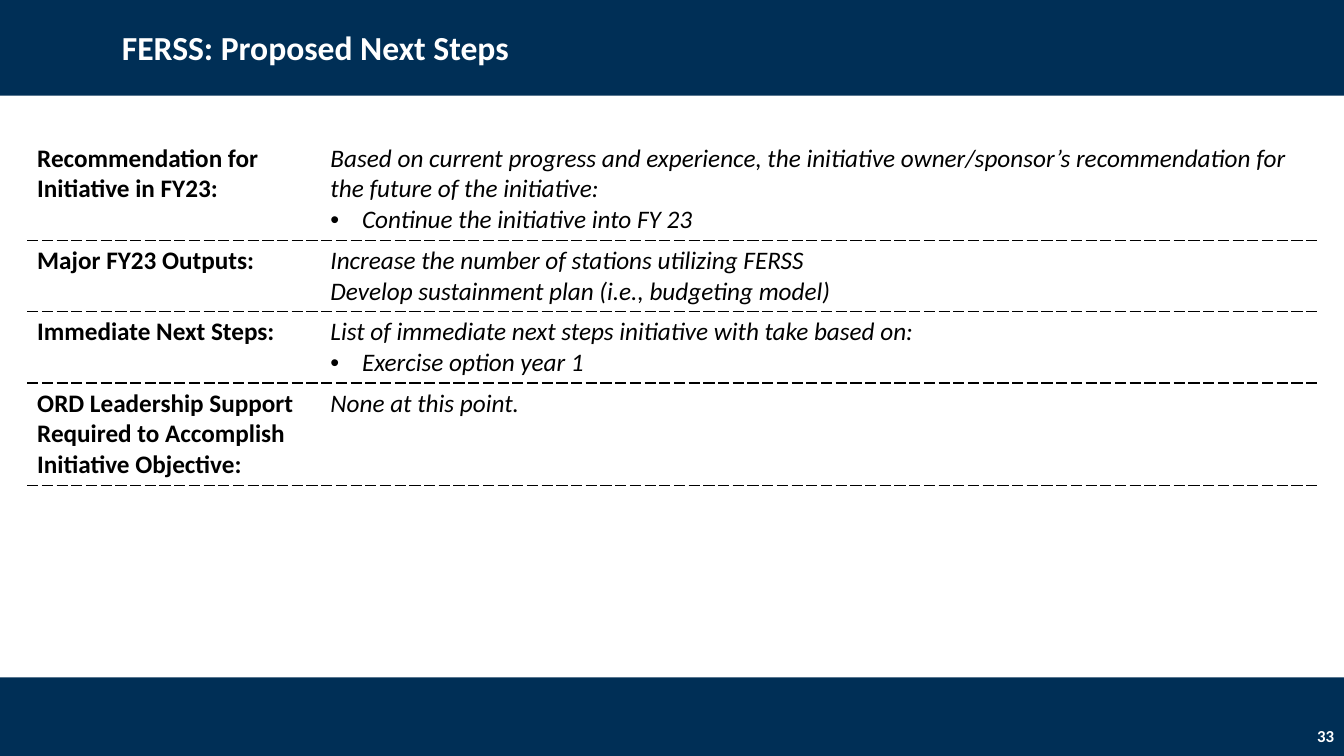
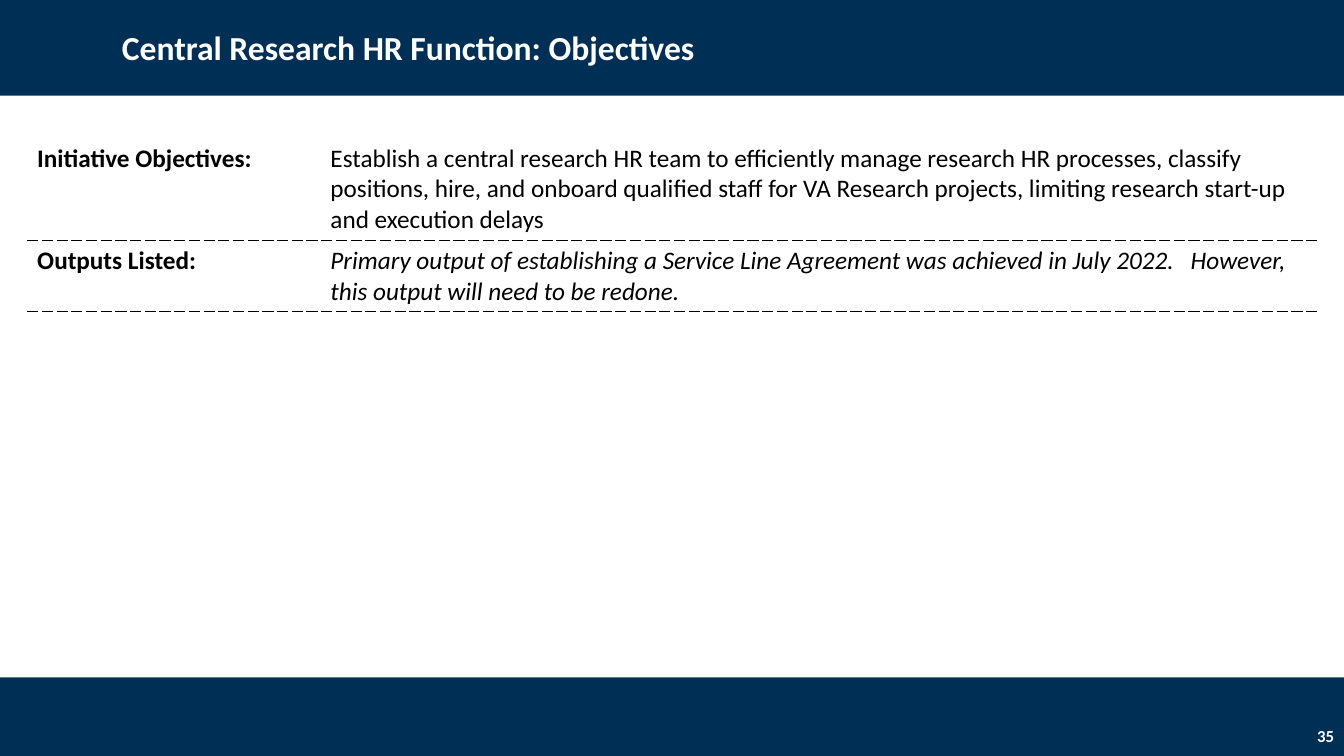
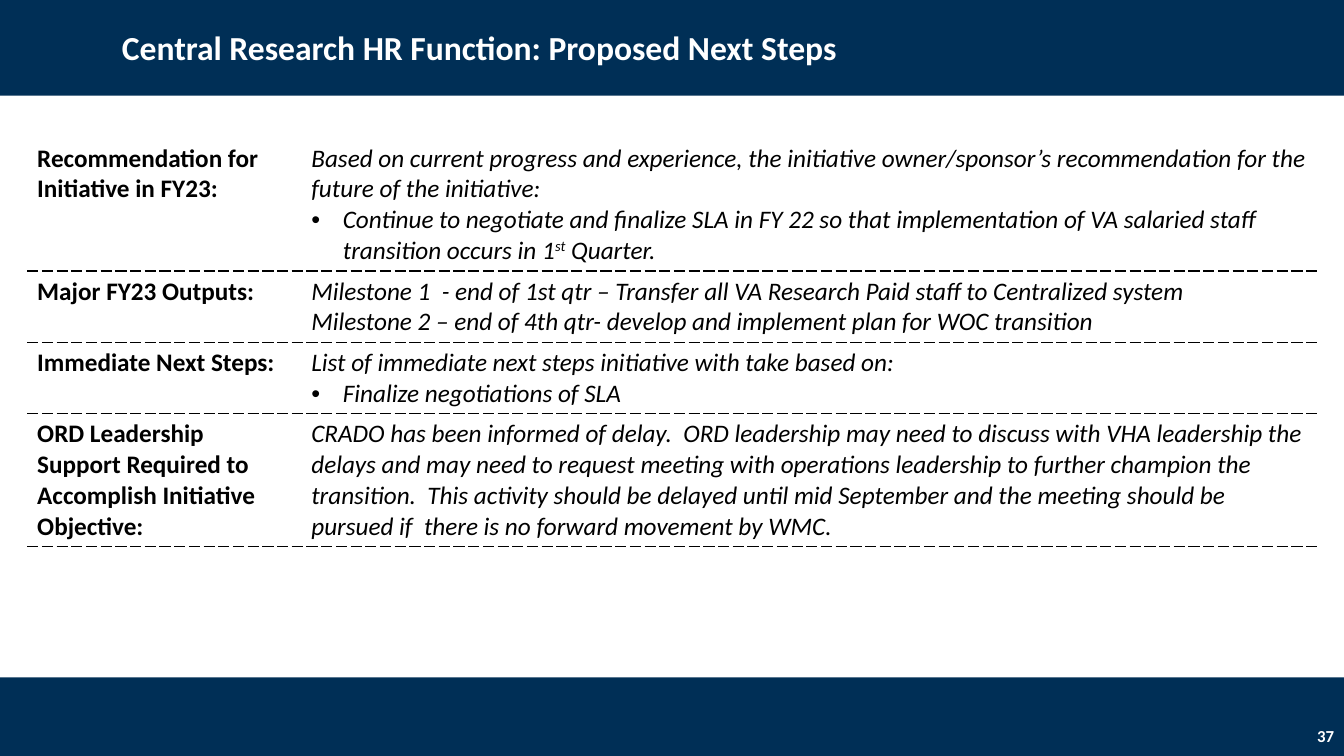
from collections import namedtuple

from lxml import etree
from pptx import Presentation
from pptx.dml.color import RGBColor
from pptx.enum.shapes import MSO_SHAPE
from pptx.enum.text import MSO_ANCHOR, PP_ALIGN
from pptx.oxml import parse_xml
from pptx.oxml.ns import nsdecls, qn
from pptx.util import Pt

FONT = "Calibri"
NAVY, WHITE, BLACK = "002F56", "FFFFFF", "000000"
SLIDE_W, SLIDE_H = 960, 540
HEADER_H, FOOTER_TOP = 68.4, 483.8
TABLE_LEFT, TABLE_TOP, TABLE_W = 19.4, 98.6, 921.6
LINE_H, CELL_PADDING = 22, 7
BULLET_INDENT = 22.5
NO_STYLE = "{2D5ABB26-0587-4C30-8999-92F81FD0307C}"

# A phrase is one run: plain text, or Super for raised text.
Super = namedtuple("Super", "text")
Bullet = namedtuple("Bullet", "phrases")
Row = namedtuple("Row", "label lines paragraphs italic", defaults=[True])

RECOMMENDATION = "Recommendation for Initiative in FY23:"
OUTPUTS = "Major FY23 Outputs:"
NEXT_STEPS = "Immediate Next Steps:"
SUPPORT = "ORD Leadership Support Required to Accomplish Initiative Objective:"
RECOMMENDATION_LEAD = (
    "Based on current progress and experience, the initiative owner/sponsor’s "
    "recommendation for the future of the initiative:")
NEXT_STEPS_LEAD = "List of immediate next steps initiative with take based on:"

SLIDES = [
    dict(title="FERSS: Proposed Next Steps", number="33", label_w=209.5, rows=[
        Row(RECOMMENDATION, 3, [
            RECOMMENDATION_LEAD,
            Bullet(["Continue the initiative into FY 23"])]),
        Row(OUTPUTS, 2, [
            "Increase the number of stations utilizing FERSS",
            "Develop sustainment plan (i.e., budgeting model)"]),
        Row(NEXT_STEPS, 2, [
            NEXT_STEPS_LEAD,
            Bullet(["Exercise option year 1"])]),
        Row(SUPPORT, 3, ["None at this point."]),
    ]),
    dict(title="Central Research HR Function: Objectives", number="35",
         label_w=209.5, rows=[
        Row("Initiative Objectives:", 3, [
            "Establish a central research HR team to efficiently manage research HR "
            "processes, classify positions, hire, and onboard qualified staff for VA "
            "Research projects, limiting research start-up and execution delays"],
            italic=False),
        Row("Outputs Listed:", 2, [
            "Primary output of establishing a Service Line Agreement was achieved in "
            "July 2022.   However, this output will need to be redone."]),
    ]),
    dict(title="Central Research HR Function: Proposed Next Steps", number="37",
         label_w=195.8, rows=[
        Row(RECOMMENDATION, 4, [
            RECOMMENDATION_LEAD,
            Bullet(["Continue to negotiate and finalize SLA in FY 22 so that "
                    "implementation of VA salaried staff transition occurs in 1",
                    Super("st"), " Quarter."])]),
        Row(OUTPUTS, 2, [
            "Milestone 1  - end of 1st qtr – Transfer all VA Research Paid staff to "
            "Centralized system",
            "Milestone 2 – end of 4th qtr- develop and implement plan for WOC transition"]),
        Row(NEXT_STEPS, 2, [
            NEXT_STEPS_LEAD,
            Bullet(["Finalize negotiations of SLA"])]),
        Row(SUPPORT, 4, [
            "CRADO has been informed of delay.  ORD leadership may need to discuss with "
            "VHA leadership the delays and may need to request meeting with operations "
            "leadership to further champion the transition.  This activity should be "
            "delayed until mid September and the meeting should be pursued if  there is "
            "no forward movement by WMC."]),
    ]),
]


def rgb(color):
    return RGBColor.from_string(color)


def add_run(paragraph, phrase, size, color, bold=False, italic=False):
    run = paragraph.add_run()
    raised = isinstance(phrase, Super)
    run.text = phrase.text if raised else phrase
    font = run.font
    font.name, font.size, font.bold, font.italic = FONT, Pt(size), bold, italic
    font.color.rgb = rgb(color)
    if raised:
        run._r.get_or_add_rPr().set("baseline", "30000")


def add_band(slide, top, height):
    band = slide.shapes.add_shape(
        MSO_SHAPE.RECTANGLE, 0, Pt(top), Pt(SLIDE_W), Pt(height))
    band.shadow.inherit = False
    band.fill.solid()
    band.fill.fore_color.rgb = rgb(NAVY)
    band.line.fill.background()


def add_band_text(slide, text, box, size, align):
    frame = slide.shapes.add_textbox(*map(Pt, box)).text_frame
    frame.word_wrap = True
    frame.vertical_anchor = MSO_ANCHOR.MIDDLE
    paragraph = frame.paragraphs[0]
    paragraph.alignment = align
    add_run(paragraph, text, size, WHITE, bold=True)
    return paragraph


def add_frame(slide, title, number):
    """Add the two bands with the title and the slide number."""
    add_band(slide, 0, HEADER_H)
    add_band(slide, FOOTER_TOP, SLIDE_H - FOOTER_TOP)
    heading = add_band_text(slide, title, (80, 8.6, 828, 53.3), 24, PP_ALIGN.LEFT)
    heading.line_spacing = 0.9
    add_band_text(slide, number, (744, 511.2, 216, 28.8), 12, PP_ALIGN.RIGHT)


def set_bullet(paragraph):
    properties = paragraph._p.get_or_add_pPr()
    properties.set("marL", str(Pt(BULLET_INDENT)))
    properties.set("indent", str(-Pt(BULLET_INDENT)))
    etree.SubElement(properties, qn("a:buFont")).set("typeface", "Arial")
    etree.SubElement(properties, qn("a:buChar")).set("char", "•")


def fill_cell(cell, paragraphs, bold=False, italic=False):
    """Write the paragraphs on white, above a dashed rule."""
    cell.fill.solid()
    cell.fill.fore_color.rgb = rgb(WHITE)
    cell._tc.get_or_add_tcPr().insert(0, parse_xml(
        f'<a:lnB {nsdecls("a")} w="{Pt(1)}"><a:solidFill><a:srgbClr val="{BLACK}"/>'
        '</a:solidFill><a:prstDash val="dash"/></a:lnB>'))
    frame = cell.text_frame
    for index, content in enumerate(paragraphs):
        paragraph = frame.add_paragraph() if index else frame.paragraphs[0]
        bulleted = isinstance(content, Bullet)
        if bulleted:
            set_bullet(paragraph)
        for phrase in content.phrases if bulleted else [content]:
            add_run(paragraph, phrase, 18, BLACK, bold, italic)


def add_initiative_table(slide, rows, label_w):
    heights = [row.lines * LINE_H + CELL_PADDING for row in rows]
    frame = slide.shapes.add_table(
        len(rows), 2, Pt(TABLE_LEFT), Pt(TABLE_TOP), Pt(TABLE_W), Pt(sum(heights)))
    table = frame.table
    table.first_row = table.horz_banding = False
    table._tbl.tblPr.find(qn("a:tableStyleId")).text = NO_STYLE
    table.columns[0].width = Pt(label_w)
    table.columns[1].width = Pt(TABLE_W - label_w)
    for index, (row, height) in enumerate(zip(rows, heights)):
        table.rows[index].height = Pt(height)
        fill_cell(table.cell(index, 0), [row.label], bold=True)
        fill_cell(table.cell(index, 1), row.paragraphs, italic=row.italic)


def main():
    deck = Presentation()
    deck.slide_width, deck.slide_height = Pt(SLIDE_W), Pt(SLIDE_H)
    for content in SLIDES:
        slide = deck.slides.add_slide(deck.slide_layouts[6])
        add_frame(slide, content["title"], content["number"])
        add_initiative_table(slide, content["rows"], content["label_w"])
    deck.save("out.pptx")


if __name__ == "__main__":
    main()
